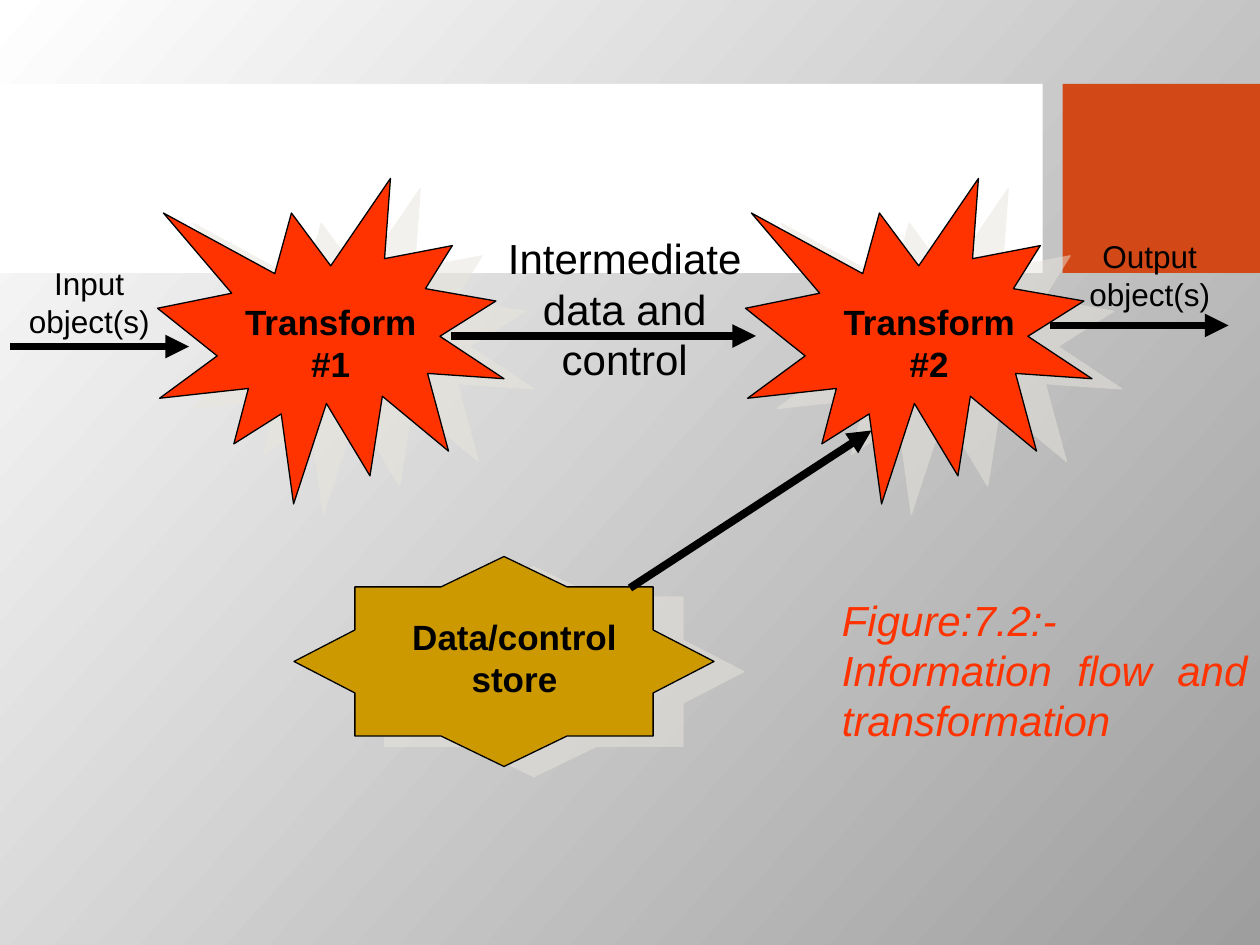
from lxml import etree
from pptx import Presentation
from pptx import util as u
from pptx.dml.color import RGBColor
from pptx.enum import shapes, text
from pptx.oxml import parse_xml
from pptx.oxml.ns import nsdecls, qn

WHITE = RGBColor(0xFF, 0xFF, 0xFF)
BLACK = RGBColor(0x00, 0x00, 0x00)
GRAY = RGBColor(0x9E, 0x9E, 0x9E)
ORANGE = RGBColor(0xD3, 0x48, 0x17)
RED = RGBColor(0xFF, 0x33, 0x00)
GOLD = RGBColor(0xCC, 0x99, 0x00)
SHADOW = RGBColor(0xE9, 0xE5, 0xDC)

FONT = "Arial"
CELL = u.Inches(1) // 12  # the page is a grid of 120 columns by 90 rows
COLUMNS, ROWS = 120, 90
# Right, then bottom: one quarter of the store's outline, from its centre
STORE_QUARTER = [(20, 0), (14.2, 3), (14.2, 7.1), (6, 7.1), (0, 10)]


def cells(*counts):
    return [u.Emu(round(count * CELL)) for count in counts]


class DiagramPage:
    """Draws on one slide, with all lengths in grid cells."""

    def __init__(self, deck):
        self.page = deck.slides.add_slide(deck.slide_layouts[6])

    def background(self, first, last, angle):
        fill = self.page.background.fill
        fill.gradient()
        fill.gradient_angle = 360 - angle
        for stop, color in zip(fill.gradient_stops, (first, last)):
            stop.color.rgb = color

    def band(self, left, width, color):
        shape = self.page.shapes.add_shape(
            shapes.MSO_SHAPE.RECTANGLE, *cells(left, 8, width, 18))
        shape.shadow.inherit = False
        shape.fill.solid()
        shape.fill.fore_color.rgb = color
        shape.line.fill.background()

    def raised(self, shape, color):
        """Give a shape its fill, thin outline and offset shadow."""
        shape.fill.solid()
        shape.fill.fore_color.rgb = color
        shape.line.color.rgb = BLACK
        shape.line.width = u.Pt(0.75)
        shape.shadow.inherit = False
        effects = shape._element.spPr.find(qn("a:effectLst"))
        effects.append(parse_xml(
            f'<a:outerShdw {nsdecls("a")} blurRad="0" dist="{u.Pt(18)}" '
            f'dir="{19 * 60000}" algn="ctr" rotWithShape="0">'
            f'<a:srgbClr val="{SHADOW}"><a:alpha val="50000"/></a:srgbClr>'
            '</a:outerShdw>'))

    def burst(self, left, top):
        self.raised(self.page.shapes.add_shape(
            shapes.MSO_SHAPE.EXPLOSION1, *cells(left, top, 33, 31)), RED)

    def store(self, x, y):
        """Mirror the quarter outline around the centre."""
        points = []
        for across, down in ((1, 1), (-1, 1), (-1, -1), (1, -1)):
            quarter = STORE_QUARTER[::across * down]
            points += [cells(x + across * dx, y + down * dy)
                       for dx, dy in quarter[:-1]]
        builder = self.page.shapes.build_freeform(*points[0])
        builder.add_line_segments(points[1:], close=True)
        self.raised(builder.convert_to_shape(), GOLD)

    def label(self, words, left, top, width, height, size, color=BLACK,
              bold=False, italic=False, align=text.PP_ALIGN.CENTER):
        box = self.page.shapes.add_textbox(*cells(left, top, width, height))
        frame = box.text_frame
        frame.word_wrap = True
        frame.auto_size = text.MSO_AUTO_SIZE.SHAPE_TO_FIT_TEXT
        para = frame.paragraphs[0]
        para.text = words
        para.alignment = align
        font = para.font
        font.name, font.size = FONT, u.Pt(size)
        font.bold, font.italic = bold, italic
        font.color.rgb = color

    def arrow(self, *ends):
        line = self.page.shapes.add_connector(
            shapes.MSO_CONNECTOR.STRAIGHT, *cells(*ends))
        line.line.color.rgb = BLACK
        line.line.width = u.Pt(4.5)
        etree.SubElement(line.line._get_or_add_ln(), qn("a:tailEnd"),
                         type="triangle")
        etree.SubElement(line._element.spPr, qn("a:effectLst"))


def main():
    deck = Presentation()
    deck.slide_width, deck.slide_height = cells(COLUMNS, ROWS)
    diagram = DiagramPage(deck)
    diagram.background(WHITE, GRAY, 42)
    diagram.band(0, 99.3, WHITE)
    diagram.band(101.2, 18.8, ORANGE)

    for left in (15, 71):
        diagram.burst(left, 17)
    diagram.store(48, 63)
    for words, left, top, width in (("Transform #1", 22, 28, 19),
                                    ("Transform #2", 79, 28, 19),
                                    ("Data/control store", 36, 58, 26)):
        diagram.label(words, left, top, width, 9.3, 20, bold=True)

    for ends in ((60, 56, 83, 41), (43, 32, 72, 32),
                 (1, 33, 18, 33), (100, 31, 117, 31)):
        diagram.arrow(*ends)

    diagram.label("Input object(s)", 0, 24.6, 17, 8.4, 18)
    diagram.label("Output object(s)", 101, 22, 17, 8.4, 18)
    diagram.label("Intermediate data and control", 45, 21.6, 29, 15.6, 24)
    diagram.label("Figure:7.2:-Information flow and transformation",
                  79, 56, 41, 15.6, 24, RED, italic=True,
                  align=text.PP_ALIGN.JUSTIFY)
    deck.save("out.pptx")


if __name__ == "__main__":
    main()
